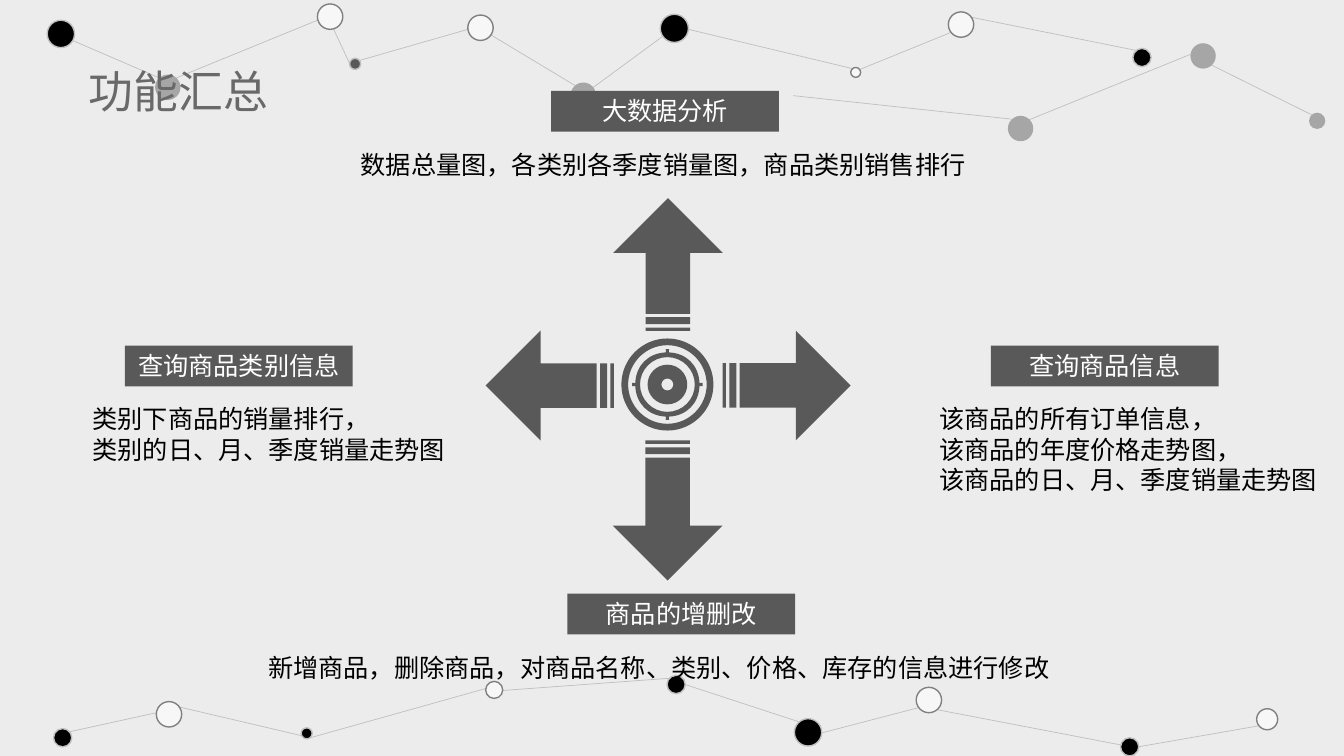
from math import cos, sin, radians
from lxml import etree
from pptx import Presentation
from pptx.dml.color import RGBColor
from pptx.enum.shapes import MSO_CONNECTOR, MSO_SHAPE
from pptx.enum.text import MSO_ANCHOR, MSO_AUTO_SIZE, PP_ALIGN
from pptx.oxml.ns import qn
from pptx.util import Cm, Pt

BACKGROUND = RGBColor(0xEC, 0xEC, 0xEC)
BLACK = RGBColor(0, 0, 0)
WHITE = RGBColor(0xFF, 0xFF, 0xFF)
OFF_WHITE = RGBColor(0xF7, 0xF7, 0xF7)
DARK = RGBColor(0x59, 0x59, 0x59)
TITLE_GRAY = RGBColor(0x69, 0x69, 0x69)
MID_GRAY = RGBColor(0x80, 0x80, 0x80)
DOT_GRAY = RGBColor(0xA6, 0xA6, 0xA6)
LINE_GRAY = RGBColor(0xBF, 0xBF, 0xBF)


def paint(sp, fill, line=None):
    sp.shadow.inherit = False
    sp.fill.solid()
    sp.fill.fore_color.rgb = fill
    if line is None:
        sp.line.fill.background()
    else:
        sp.line.color.rgb = line
        sp.line.width = Pt(1)


def write(sp, text, size, color, align, anchor):
    tf = sp.text_frame
    tf.word_wrap = True
    tf.vertical_anchor = anchor
    tf.text = text
    for p in tf.paragraphs:
        p.alignment = align
        p.font.name = "Arial"
        p.font.size = Pt(size)
        p.font.color.rgb = color


prs = Presentation()
prs.slide_width, prs.slide_height = Cm(33.87), Cm(19.05)
slide = prs.slides.add_slide(prs.slide_layouts[5])
slide.background.fill.solid()
slide.background.fill.fore_color.rgb = BACKGROUND
shapes = slide.shapes

links = [
    (1.83, 1.02, 4.01, 1.96), (8, 0.51, 4.45, 1.96), (8.41, 0.74, 8.81, 1.6),
    (11.79, 0.74, 9.07, 1.52), (12.34, 0.86, 14.5, 2.16), (16.71, 0.91, 14.94, 2.21),
    (21.49, 1.73, 17.35, 0.74), (23.98, 0.81, 21.67, 1.75), (24.46, 0.43, 28.63, 1.27),
    (19.99, 2.41, 25.48, 3), (25.93, 3.02, 30, 1.37), (33.07, 2.9, 30.51, 1.63),
    (1.75, 18.44, 3.94, 17.96), (4.5, 17.81, 7.82, 18.59), (7.82, 18.59, 12.24, 17.35),
    (12.67, 17.4, 16.89, 17.09), (20.14, 18.19, 17.27, 17.25), (20.7, 18.47, 23.16, 17.83),
    (23.6, 17.88, 28.24, 18.77), (31.72, 18.29, 28.68, 18.82),
]
for link in links:
    cn = shapes.add_connector(MSO_CONNECTOR.STRAIGHT, *map(Cm, link))
    cn.line.color.rgb = LINE_GRAY
    cn.line.width = Pt(0.5)
    etree.SubElement(cn._element.spPr, qn("a:effectLst"))

dots = [
    (BLACK, LINE_GRAY, [
        (1.19, 0.51, 0.69), (16.64, 0.36, 0.71), (28.55, 1.22, 0.46), (1.35, 18.36, 0.46),
        (7.59, 18.34, 0.28), (16.81, 17.02, 0.46), (20.02, 18.11, 0.69), (28.24, 18.59, 0.46)]),
    (OFF_WHITE, MID_GRAY, [
        (8, 0.1, 0.64), (11.79, 0.38, 0.64), (21.44, 1.7, 0.25), (23.9, 0.3, 0.64),
        (3.94, 17.68, 0.64), (12.24, 17.17, 0.43), (23.09, 17.32, 0.64), (31.67, 17.86, 0.53)]),
    (DOT_GRAY, None, [
        (3.91, 1.88, 0.64), (14.38, 2.08, 0.64), (25.4, 2.92, 0.64),
        (30, 1.09, 0.64), (32.99, 2.84, 0.41)]),
    (DARK, LINE_GRAY, [(8.81, 1.47, 0.28)]),
]
for fill, line, places in dots:
    for x, y, d in places:
        sp = shapes.add_shape(MSO_SHAPE.OVAL, Cm(x), Cm(y), Cm(d), Cm(d))
        paint(sp, fill, line)

arrows = [
    (12.24, 8.33, 3.23, 180),
    (15.16, 5.28, 3.35, 270),
    (15.06, 11.48, 3.53, 90),
    (18.21, 8.33, 3.23, 0),
]
for x, y, length, angle in arrows:
    sp = shapes.add_shape(MSO_SHAPE.STRIPED_RIGHT_ARROW, Cm(x), Cm(y), Cm(length), Cm(2.77))
    sp.rotation = angle
    sp.adjustments[0] = 0.405
    sp.adjustments[1] = 0.5
    paint(sp, DARK)

center_x, center_y = 16.82, 9.69
tick_radius, tick_angle = 0.89, 2.7
target = None
for radius in (1.16, 0.99, 0.81, 0.69, 0.5, 0.15):
    polar = []
    for a in (0, 90, 180, 270):
        if radius == 0.81:
            polar += [(radius, a - tick_angle), (tick_radius, a - tick_angle),
                      (tick_radius, a + tick_angle), (radius, a + tick_angle)]
        else:
            polar.append((radius, a))
    polar.append(polar[0])
    points = [(Cm(center_x + r * cos(radians(a))), Cm(center_y + r * sin(radians(a))))
              for r, a in polar]
    if target is None:
        target = shapes.build_freeform(*points[0])
    else:
        target.move_to(*points[0])
    target.add_line_segments(points[1:], close=True)
sp = target.convert_to_shape()
paint(sp, DARK)

bend = 0.55
mid_x, mid_y = sp.width / 2, sp.height / 2
start = None
for step in sp._element.iter(qn("a:moveTo"), qn("a:lnTo")):
    pt = step[0]
    end = int(pt.get("x")), int(pt.get("y"))
    if step.tag == qn("a:lnTo") and max(abs(end[0] - start[0]), abs(end[1] - start[1])) > Cm(0.12):
        step.tag = qn("a:cubicBezTo")
        controls = [(start, bend), (end, -bend)]
        for i, ((x, y), k) in enumerate(controls):
            control = etree.Element(qn("a:pt"))
            control.set("x", str(round(x - k * (y - mid_y))))
            control.set("y", str(round(y + k * (x - mid_x))))
            step.insert(i, control)
    start = end

labels = [
    (13.89, 2.29, "大数据分析"),
    (3.15, 8.71, "查询商品类别信息"),
    (24.97, 8.71, "查询商品信息"),
    (14.3, 14.96, "商品的增删改"),
]
for x, y, text in labels:
    sp = shapes.add_shape(MSO_SHAPE.RECTANGLE, Cm(x), Cm(y), Cm(5.74), Cm(1.03))
    paint(sp, DARK)
    write(sp, text, 18, WHITE, PP_ALIGN.CENTER, MSO_ANCHOR.TOP)
    sp.text_frame.auto_size = MSO_AUTO_SIZE.SHAPE_TO_FIT_TEXT

details = [
    (8.84, 3.65, 16.05, 1.03, "数据总量图，各类别各季度销量图，商品类别销售排行"),
    (2.08, 10.05, 11.02, 1.8, "类别下商品的销量排行，\n类别的日、月、季度销量走势图"),
    (23.42, 10.05, 11.02, 2.56,
     "该商品的所有订单信息，\n该商品的年度价格走势图，\n该商品的日、月、季度销量走势图"),
    (6.51, 16.31, 20.57, 1.03, "新增商品，删除商品，对商品名称、类别、价格、库存的信息进行修改"),
]
for x, y, w, h, text in details:
    sp = shapes.add_textbox(Cm(x), Cm(y), Cm(w), Cm(h))
    write(sp, text, 18, BLACK, PP_ALIGN.LEFT, MSO_ANCHOR.TOP)
    sp.text_frame.auto_size = MSO_AUTO_SIZE.SHAPE_TO_FIT_TEXT

title = shapes.title
title.left, title.top, title.width, title.height = Cm(1.98), Cm(1.46), Cm(8.28), Cm(1.63)
write(title, "功能汇总", 32, TITLE_GRAY, PP_ALIGN.LEFT, MSO_ANCHOR.MIDDLE)
shapes._spTree.append(title._element)

prs.save("out.pptx")
